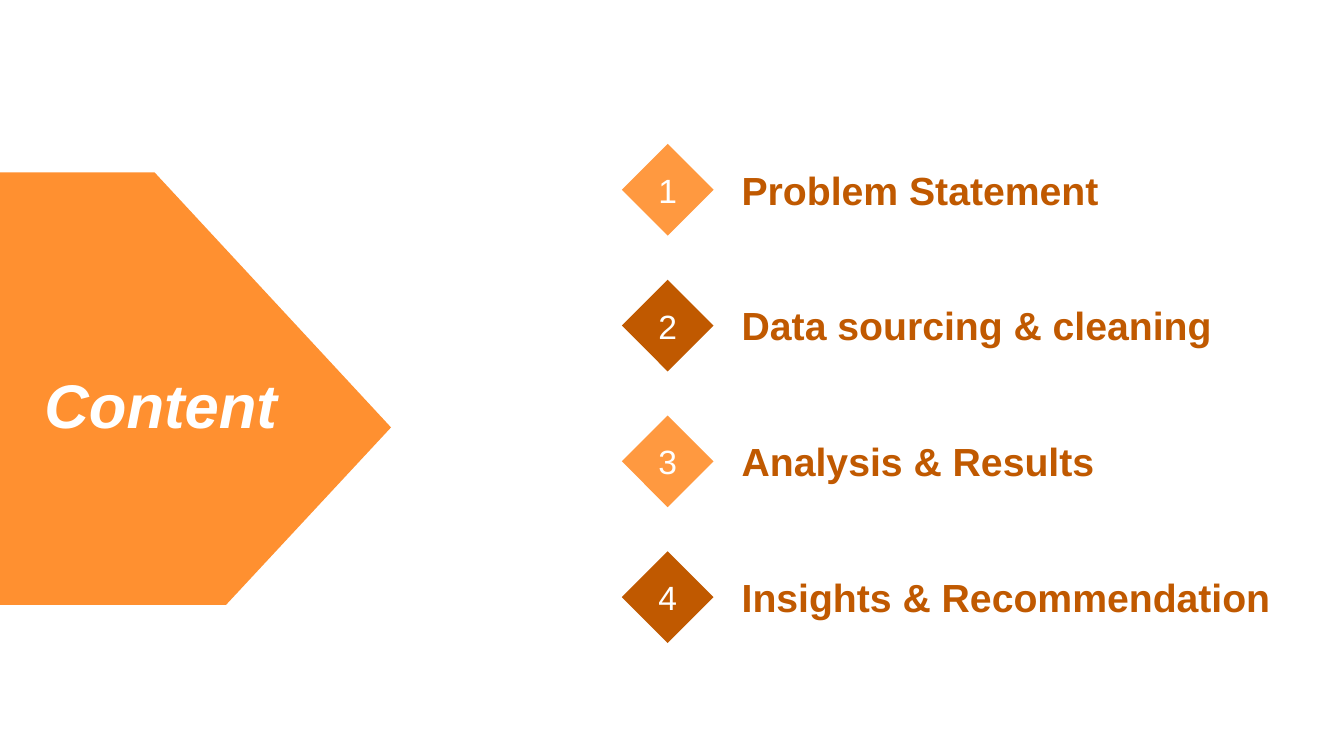
from pptx import Presentation
from pptx import util as u
from pptx.dml import color
from pptx.enum import shapes, text

ORANGE, LIGHT_ORANGE, BROWN, WHITE = "FF9030", "FF9940", "C05900", "FFFFFF"
TOPICS = [
    ("Problem Statement", 272),
    ("Data sourcing & cleaning", 356.5),
    ("Analysis & Results", 371),
    ("Insights & Recommendation", 409),
]
FIRST_TOP, ROW_PITCH = 102.8, 97
DIAMOND_LEFT, DIAMOND_SIZE = 444.2, 65.5
TOPIC_LEFT, TOPIC_HEIGHT = 522.7, 41.2


def rgb(hex_code):
    return color.RGBColor.from_string(hex_code)


class ContentSlide:
    font_name = "Arial"

    def __init__(self, slide):
        self.slide = slide

    def set_words(self, shape, words, hex_code, align, **font_format):
        paragraph = shape.text_frame.paragraphs[0]
        paragraph.alignment = align
        run = paragraph.add_run()
        run.text = words
        for name, value in {"name": self.font_name, **font_format}.items():
            setattr(run.font, name, value)
        run.font.color.rgb = rgb(hex_code)

    def paint(self, shape, hex_code):
        shape.shadow.inherit = False
        shape.fill.solid()
        shape.fill.fore_color.rgb = rgb(hex_code)
        shape.line.fill.background()

    def outline(self, corners, hex_code):
        """Draw a filled polygon through the corners, given in points."""
        start, *others = [(u.Pt(x), u.Pt(y)) for x, y in corners]
        builder = self.slide.shapes.build_freeform(*start, scale=1.0)
        builder.add_line_segments(others, close=True)
        self.paint(builder.convert_to_shape(), hex_code)

    def label(self, parent, box, words, hex_code, align, wrap=True, **font_format):
        label = parent.shapes.add_textbox(*map(u.Pt, box))
        label.text_frame.word_wrap = wrap
        label.text_frame.auto_size = text.MSO_AUTO_SIZE.SHAPE_TO_FIT_TEXT
        self.set_words(label, words, hex_code, align, **font_format)

    def diamond(self, parent, box, number, hex_code):
        diamond = parent.shapes.add_shape(shapes.MSO_SHAPE.DIAMOND, *map(u.Pt, box))
        self.paint(diamond, hex_code)
        diamond.text_frame.vertical_anchor = text.MSO_ANCHOR.MIDDLE
        self.set_words(diamond, str(number), WHITE, text.PP_ALIGN.CENTER, size=u.Pt(24))

    def topic(self, index, words, width):
        """Group a numbered diamond with its topic."""
        row = self.slide.shapes.add_group_shape()
        top = FIRST_TOP + index * ROW_PITCH
        self.diamond(row, (DIAMOND_LEFT, top, DIAMOND_SIZE, DIAMOND_SIZE),
                     index + 1, BROWN if index % 2 else LIGHT_ORANGE)
        topic_top = top + (DIAMOND_SIZE - TOPIC_HEIGHT) / 2
        self.label(row, (TOPIC_LEFT, topic_top, width, TOPIC_HEIGHT), words, BROWN,
                   text.PP_ALIGN.LEFT, size=u.Pt(28), bold=True)


def main():
    deck = Presentation()
    deck.slide_width, deck.slide_height = u.Pt(960), u.Pt(540)
    content = ContentSlide(deck.slides.add_slide(deck.slide_layouts[6]))
    content.outline([(0, 123.1), (110.4, 123.1), (279.3, 305.3), (161.5, 432), (0, 432)],
                    ORANGE)
    content.label(content.slide, (23.8, 258.5, 182.2, 60.5), "Content", WHITE,
                  text.PP_ALIGN.CENTER, wrap=False, size=u.Pt(44), bold=True, italic=True)
    for index, (words, width) in enumerate(TOPICS):
        content.topic(index, words, width)
    deck.save("out.pptx")


if __name__ == "__main__":
    main()
